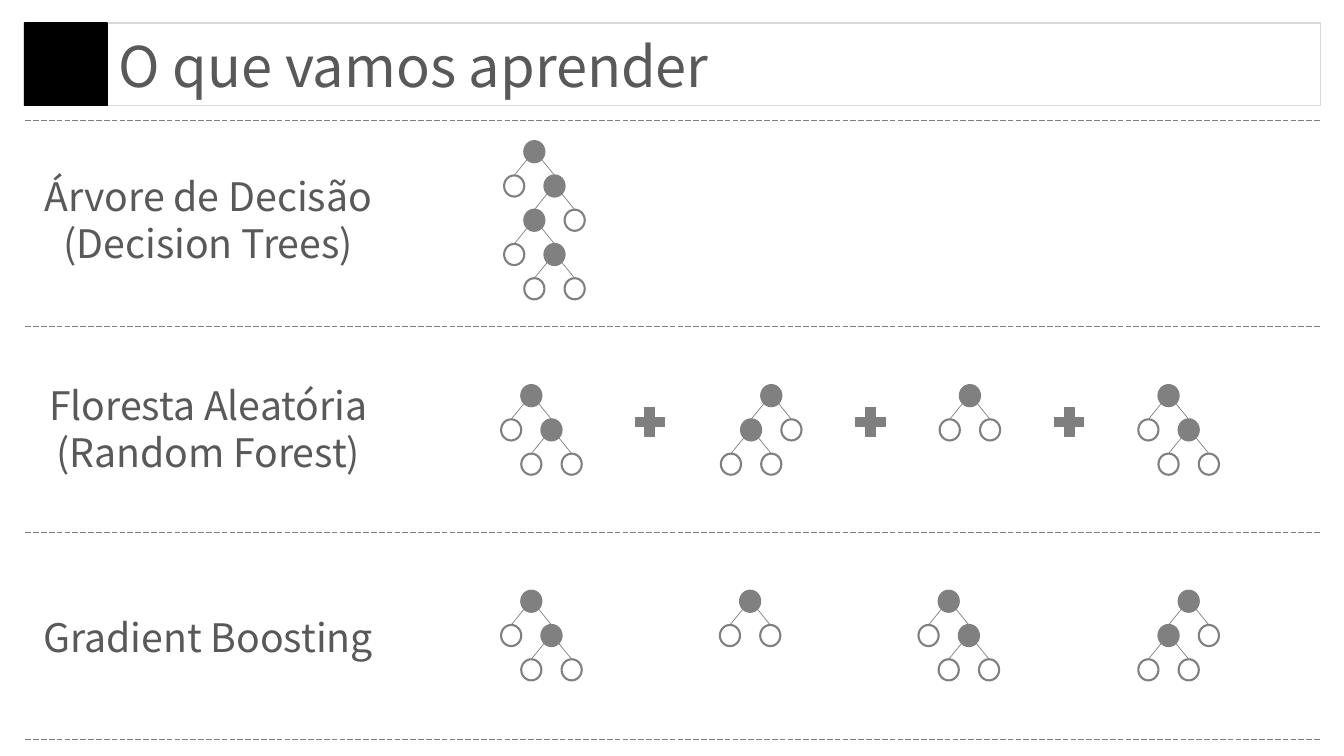
from lxml import etree
from pptx import Presentation
from pptx import util as u
from pptx.dml.color import RGBColor
from pptx.enum import dml, shapes, text
from pptx.oxml.ns import qn

FONT = "Noto Sans CJK JP"
GREY = "808080"
PLUS_GREY = "7F7F7F"
TEXT_GREY = "595959"

# Tree geometry in inches
NODE_W, NODE_H = 0.2, 0.21
STEP_X, STEP_Y = 0.2, 0.34
EDGE_X, EDGE_Y = 0.07, 0.18

# A tree is a (left, right) pair of subtrees; a leaf is None
LEAF = None
STUMP = (LEAF, LEAF)
RIGHT_TREE = (LEAF, STUMP)
LEFT_TREE = (STUMP, LEAF)
DEEP_TREE = (LEAF, ((LEAF, STUMP), LEAF))


def color(hex_code):
    return RGBColor.from_string(hex_code)


def add_figure(parent, kind, box, fill, line, width):
    figure = parent.add_shape(kind, *map(u.Inches, box))
    figure.shadow.inherit = False
    if fill:
        figure.fill.solid()
        figure.fill.fore_color.rgb = color(fill)
    else:
        figure.fill.background()
    figure.line.color.rgb = color(line)
    figure.line.width = u.Pt(width)


def add_line(parent, start, end, dash=None):
    line = parent.add_connector(
        shapes.MSO_CONNECTOR.STRAIGHT, *map(u.Inches, (*start, *end)))
    line.line.color.rgb = color(GREY)
    line.line.width = u.Pt(0.5)
    if dash:
        line.line.dash_style = dash
    etree.SubElement(line._element.spPr, qn("a:effectLst"))


def add_label(parent, words, box, size, align, anchor):
    label = parent.add_textbox(*map(u.Inches, box))
    frame = label.text_frame
    frame.word_wrap = True
    frame.auto_size = text.MSO_AUTO_SIZE.SHAPE_TO_FIT_TEXT
    frame.vertical_anchor = anchor
    frame.text = words
    for paragraph in frame.paragraphs:
        paragraph.alignment = align
        for run in paragraph.runs:
            run.font.size = u.Pt(size)
            run.font.name = FONT
            run.font.color.rgb = color(TEXT_GREY)


def add_tree(parent, x, y, tree):
    """Draw a node with its top left corner at x, y, then its subtrees."""
    add_figure(parent, shapes.MSO_SHAPE.OVAL, (x, y, NODE_W, NODE_H),
               GREY if tree else None, GREY, 1.5)
    if not tree:
        return
    center = x + NODE_W / 2
    for side, subtree in zip((-1, 1), tree):
        add_line(parent, (center + side * EDGE_X, y + EDGE_Y),
                 (center + side * STEP_X, y + STEP_Y))
        add_tree(parent, x + side * STEP_X, y + STEP_Y, subtree)


def main():
    prs = Presentation()
    prs.slide_width, prs.slide_height = u.Inches(13.33), u.Inches(7.5)
    canvas = prs.slides.add_slide(prs.slide_layouts[6]).shapes

    # Title bar
    rectangle = shapes.MSO_SHAPE.RECTANGLE
    add_figure(canvas, rectangle, (0.24, 0.23, 12.86, 0.82), None, "D9D9D9", 1)
    add_figure(canvas, rectangle, (0.24, 0.23, 0.82, 0.82),
               "000000", "000000", 1)
    add_label(canvas, "O que vamos aprender", (1.08, 0.26, 10.67, 0.77), 40,
              text.PP_ALIGN.LEFT, text.MSO_ANCHOR.TOP)

    # Row dividers
    for row in range(4):
        divider_y = 1.19 + row * 2.047
        add_line(canvas, (0.25, divider_y), (13.11, divider_y),
                 dml.MSO_LINE.LONG_DASH)

    # Each method: name, top and height of its label, top of its trees, trees
    methods = [
        ("Árvore de Decisão\n(Decision Trees)", 1.66, 1.04, 1.4,
         [(5.2, DEEP_TREE)]),
        ("Floresta Aleatória\n(Random Forest)", 3.73, 1.04, 3.82,
         [(5.17, RIGHT_TREE), (7.55, LEFT_TREE),
          (9.52, STUMP), (11.49, RIGHT_TREE)]),
        ("Gradient Boosting", 6.03, 0.57, 5.86,
         [(5.17, RIGHT_TREE), (7.34, STUMP),
          (9.31, RIGHT_TREE), (11.69, LEFT_TREE)]),
    ]
    for name, label_y, label_h, tree_y, trees in methods:
        add_label(canvas, name, (0.21, label_y, 3.71, label_h), 28,
                  text.PP_ALIGN.CENTER, text.MSO_ANCHOR.MIDDLE)
        for tree_x, tree in trees:
            add_tree(canvas.add_group_shape().shapes, tree_x, tree_y, tree)

    # Plus signs between the trees of the forest
    for plus_x in (6.25, 8.44, 10.41):
        add_figure(canvas, shapes.MSO_SHAPE.MATH_PLUS,
                   (plus_x, 3.99, 0.39, 0.39), PLUS_GREY, PLUS_GREY, 1)

    prs.save("out.pptx")


if __name__ == "__main__":
    main()
